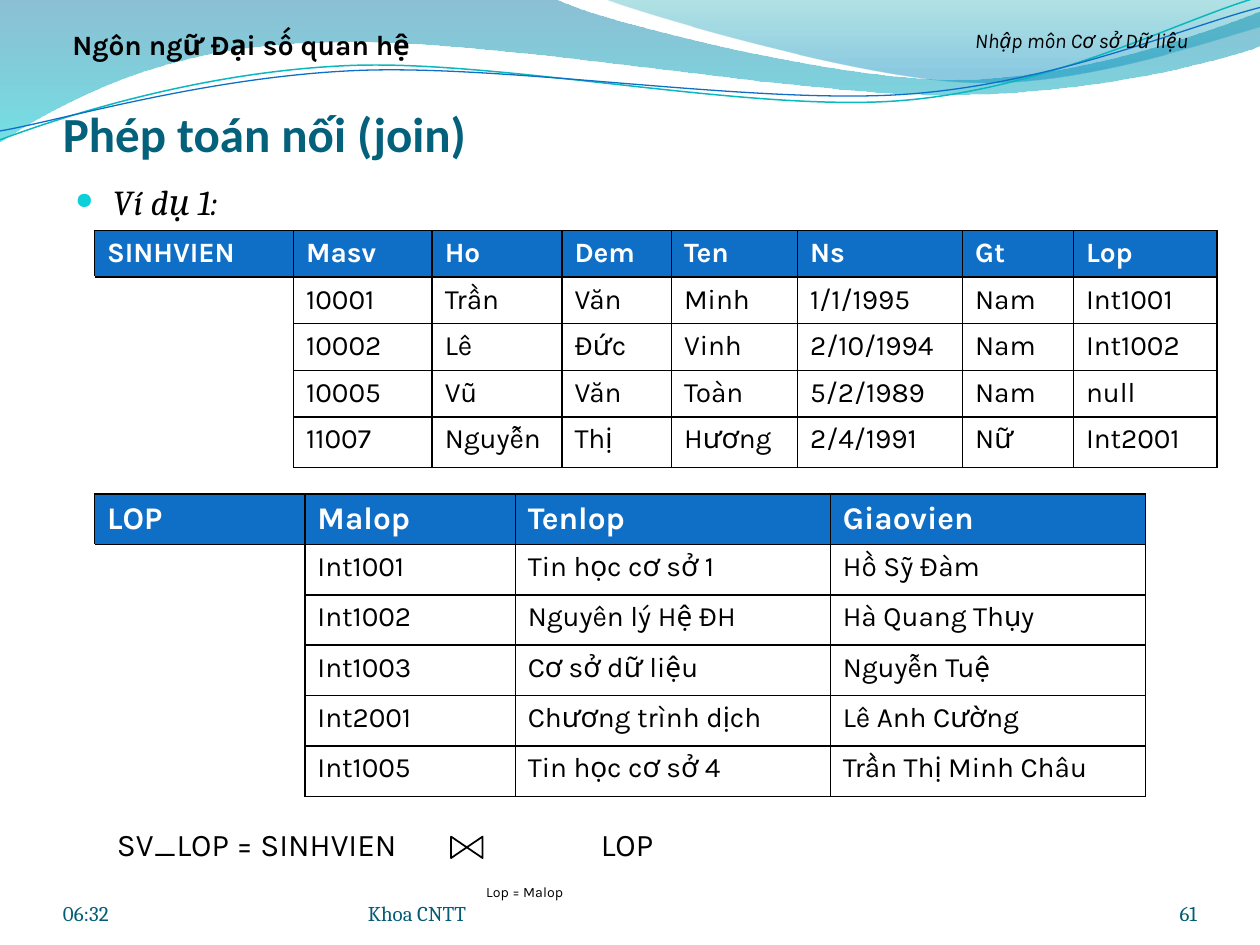
import math

import pptx
import pptx.dml.color
import pptx.enum.shapes
import pptx.enum.text
import pptx.oxml
import pptx.oxml.ns
import pptx.util

Inches = pptx.util.Inches
Pt = pptx.util.Pt
qn = pptx.oxml.ns.qn
NS = pptx.oxml.ns.nsdecls("a")
ALIGN = pptx.enum.text.PP_ALIGN
ANCHOR = pptx.enum.text.MSO_ANCHOR

BLACK, WHITE, BLUE = "000000", "FFFFFF", "0F6FC6"
TEAL, FOOTER = "04617B", "045D75"

STUDENTS = [
    ["SINHVIEN", "Masv", "Ho", "Dem", "Ten", "Ns", "Gt", "Lop"],
    ["", "10001", "Trần", "Văn", "Minh", "1/1/1995", "Nam", "Int1001"],
    ["", "10002", "Lê", "Đức", "Vinh", "2/10/1994", "Nam", "Int1002"],
    ["", "10005", "Vũ", "Văn", "Toàn", "5/2/1989", "Nam", "null"],
    ["", "11007", "Nguyễn", "Thị", "Hương", "2/4/1991", "Nữ", "Int2001"],
]
CLASSES = [
    ["LOP", "Malop", "Tenlop", "Giaovien"],
    ["", "Int1001", "Tin học cơ sở 1", "Hồ Sỹ Đàm"],
    ["", "Int1002", "Nguyên lý Hệ ĐH", "Hà Quang Thụy"],
    ["", "Int1003", "Cơ sở dữ liệu", "Nguyễn Tuệ"],
    ["", "Int2001", "Chương trình dịch", "Lê Anh Cường"],
    ["", "Int1005", "Tin học cơ sở 4", "Trần Thị Minh Châu"],
]

# Outlines: a step of one point is straight, a step of three is a Bezier curve
WIDE_BAND = [[(0, -0.01)], [(4.4, -0.01)],
             [(4.76, 0.17), (6.64, 0.63), (7.58, 0.63)],
             [(8.53, 0.63), (9.58, 0.26), (10, 0.09)], [(10.01, 0.36)],
             [(9.83, 0.44), (8.7, 0.76), (7.46, 0.75)],
             [(6.22, 0.75), (3.82, 0.28), (2.57, 0.34)],
             [(1.29, 0.35), (0.46, 0.83), (-0.01, 1.13)]]
RIGHT_BAND = [[(4.79, -0.01)], [(5.09, 0.11), (6.82, 0.62), (7.69, 0.65)],
              [(8.56, 0.69), (9.61, 0.32), (10, 0.21)], [(10, 0)]]
CYAN_WAVE = [[(0, 1.11)], [(0.48, 0.93), (1.58, 0.57), (2.77, 0.52)],
             [(3.95, 0.47), (5.93, 0.89), (7.13, 0.8)],
             [(8.33, 0.71), (9.38, 0.15), (9.98, -0.02)]]
BLUE_WAVE = [[(0, 1.04)], [(0.47, 0.96), (1.64, 0.61), (2.83, 0.56)],
             [(4.03, 0.51), (5.97, 0.83), (7.17, 0.75)],
             [(8.36, 0.67), (9.41, 0.21), (10, 0.06)]]


def rgb(value):
    return pptx.dml.color.RGBColor.from_string(value)


def write(tf, text, size=16, font="Karla", color=BLACK, bold=False,
          italic=False, align=ALIGN.LEFT, baseline=None):
    p = tf.paragraphs[0]
    p.alignment = align
    r = p.add_run()
    r.text = text
    r.font.size, r.font.name = Pt(size), font
    r.font.bold, r.font.italic = bold, italic
    r.font.color.rgb = rgb(color)
    if baseline is not None:
        r._r.get_or_add_rPr().set("baseline", str(baseline * 1000))
    return p


def add_text(s, box, text, anchor=ANCHOR.TOP, margins=(0.1, 0.05, 0.1, 0.05),
             wrap=True, **style):
    tf = s.shapes.add_textbox(*map(Inches, box)).text_frame
    tf.word_wrap, tf.vertical_anchor = wrap, anchor
    (tf.margin_left, tf.margin_top,
     tf.margin_right, tf.margin_bottom) = map(Inches, margins)
    return write(tf, text, **style)


def add_bullet(p, char, color, indent, percent):
    pPr = p._p.get_or_add_pPr()
    pPr.set("marL", str(Inches(indent)))
    pPr.set("indent", str(-Inches(indent)))
    for xml in (f'<a:buClr {NS}><a:srgbClr val="{color}"/></a:buClr>',
                f'<a:buSzPct {NS} val="{percent * 1000}"/>',
                f'<a:buChar {NS} char="{char}"/>'):
        pPr.append(pptx.oxml.parse_xml(xml))


def add_outline(s, steps, close):
    points = [(Inches(x), Inches(y)) for step in steps for x, y in step]
    builder = s.shapes.build_freeform(*points[0], scale=1.0)
    builder.add_line_segments(points[1:], close=close)
    sp = builder.convert_to_shape()
    sp.shadow.inherit = False
    # Merge each group of three straight segments into one curve
    segments = iter(list(sp._element.iter(qn("a:lnTo"))))
    for step in steps[1:]:
        group = [next(segments) for _ in step]
        if len(group) == 3:
            curve = pptx.oxml.parse_xml(f"<a:cubicBezTo {NS}/>")
            group[0].addprevious(curve)
            for segment in group:
                curve.append(segment[0])
                segment.getparent().remove(segment)
    return sp


def add_band(s, steps, stops):
    sp = add_outline(s, steps, True)
    sp.line.fill.background()
    sp.fill.gradient()
    sp.fill.gradient_angle = 270
    for stop, (position, color, _) in zip(sp.fill.gradient_stops, stops):
        stop.position = position
        stop.color.rgb = rgb(color)
    colors = list(sp._element.spPr.iter(qn("a:srgbClr")))
    for clr, (_, _, alpha) in zip(colors, stops):
        clr.append(pptx.oxml.parse_xml(f'<a:alpha {NS} val="{alpha * 1000}"/>'))


def add_wave(s, steps, center, color, width, tilt=2.7):
    # Level the curve around its centre, then tilt the shape itself
    cx, cy = center
    cos, sin = math.cos(math.radians(tilt)), math.sin(math.radians(tilt))
    level = [[(cx + (x - cx) * cos - (y - cy) * sin,
               cy + (x - cx) * sin + (y - cy) * cos) for x, y in step]
             for step in steps]
    sp = add_outline(s, level, False)
    sp.rotation = 360 - tilt
    sp.fill.background()
    sp.line.color.rgb, sp.line.width = rgb(color), Pt(width)


def set_borders(cell, **colors):
    tcPr = cell._tc.get_or_add_tcPr()
    for side in "LRTB":
        tcPr.append(pptx.oxml.parse_xml(
            f'<a:ln{side} {NS} w="12700"><a:solidFill>'
            f'<a:srgbClr val="{colors.get(side, BLACK)}"/></a:solidFill></a:ln{side}>'))


def fill_cell(cell, text, row, head_size):
    if not text:
        set_borders(cell, L=WHITE, B=WHITE, T=BLACK if row == 1 else WHITE)
        cell.fill.background()
        # Keep the empty line from stretching its row
        cell.text_frame.paragraphs[0]._p.append(
            pptx.oxml.parse_xml(f'<a:endParaRPr {NS} sz="1200"/>'))
        return
    set_borders(cell)
    if row == 0:
        cell.fill.solid()
        cell.fill.fore_color.rgb = rgb(BLUE)
        write(cell.text_frame, text, size=head_size, color=WHITE, bold=True)
    else:
        cell.fill.background()
        write(cell.text_frame, text)


def add_grid(s, left, top, widths, heights, rows, head_size):
    frame = s.shapes.add_table(len(rows), len(widths), Inches(left), Inches(top),
                               Inches(sum(widths)), Inches(sum(heights)))
    table = frame.table
    table.first_row = table.horz_banding = False
    for column, width in zip(table.columns, widths):
        column.width = Inches(width)
    for i, row in enumerate(rows):
        table.rows[i].height = Inches(heights[i])
        for j, text in enumerate(row):
            fill_cell(table.cell(i, j), text, i, head_size)


def main():
    prs = pptx.Presentation()
    prs.slide_width, prs.slide_height = Inches(10), Inches(7.5)
    s = prs.slides.add_slide(prs.slide_layouts[6])

    # Header waves
    add_band(s, WIDE_BAND, [(0, "0074A1", 45), (1, "00C6CF", 55)])
    add_band(s, RIGHT_BAND, [(0, "00A1A9", 30), (0.8, "008BBF", 45)])
    add_wave(s, CYAN_WAVE, (4.99, 0.57), "0AB8BF", 0.85)
    add_wave(s, BLUE_WAVE, (5, 0.59), BLUE, 0.75)

    # Title and body
    add_text(s, (0.5, 0.61, 9.33, 0.68), "Phép toán nối (join)", ANCHOR.BOTTOM,
             (0, 0.05, 0, 0), size=28, font="Calibri", color=TEAL, bold=True)
    p = add_text(s, (0.5, 1.42, 9, 5.29), "Ví dụ 1:", size=20, font="Cambria",
                 italic=True)
    p.line_spacing = 0.9
    add_bullet(p, "●", "0BD0D9", 0.3, 65)

    # Footer
    for left, width, text, align in ((0.5, 2.33, "06:32", ALIGN.LEFT),
                                     (8.67, 0.83, "61", ALIGN.RIGHT),
                                     (2.92, 2.67, "Khoa CNTT", ALIGN.LEFT)):
        add_text(s, (left, 6.95, width, 0.4), text, ANCHOR.BOTTOM, (0, 0, 0, 0),
                 size=12, font="Cambria", color=FOOTER, align=align)

    # Running heads
    add_text(s, (7.17, 0.17, 2.83, 0.38), "Nhập môn Cơ sở Dữ liệu", size=12,
             italic=True, align=ALIGN.CENTER)
    add_text(s, (0.25, 0.17, 3.33, 0.37), "Ngôn ngữ Đại số quan hệ", bold=True,
             align=ALIGN.CENTER)

    # Relations
    add_grid(s, 0.75, 1.83, [1.58, 1.1, 1.03, 0.87, 1, 1.31, 0.88, 1.14],
             [0.37] * 4 + [0.4], STUDENTS, 16)
    add_grid(s, 0.75, 3.92, [1.67, 1.67, 2.5, 2.5], [0.4] * 6, CLASSES, 18)

    # Join expression
    add_text(s, (0.83, 6.5, 2.62, 0.4), "SV_LOP = SINHVIEN", wrap=False, size=18)
    join = s.shapes.add_shape(pptx.enum.shapes.MSO_SHAPE.FLOWCHART_COLLATE,
                              Inches(3.62), Inches(6.6), Inches(0.17), Inches(0.25))
    join.rotation = 270
    join.shadow.inherit = False
    join.fill.background()
    join.line.color.rgb, join.line.width = rgb(BLACK), Pt(1)
    add_text(s, (3.58, 6.83, 1.17, 0.26), "Lop = Malop", size=14, baseline=-25,
             align=ALIGN.CENTER)
    add_text(s, (4.67, 6.5, 0.64, 0.4), "LOP", wrap=False, size=18)

    prs.save("out.pptx")


if __name__ == "__main__":
    main()
